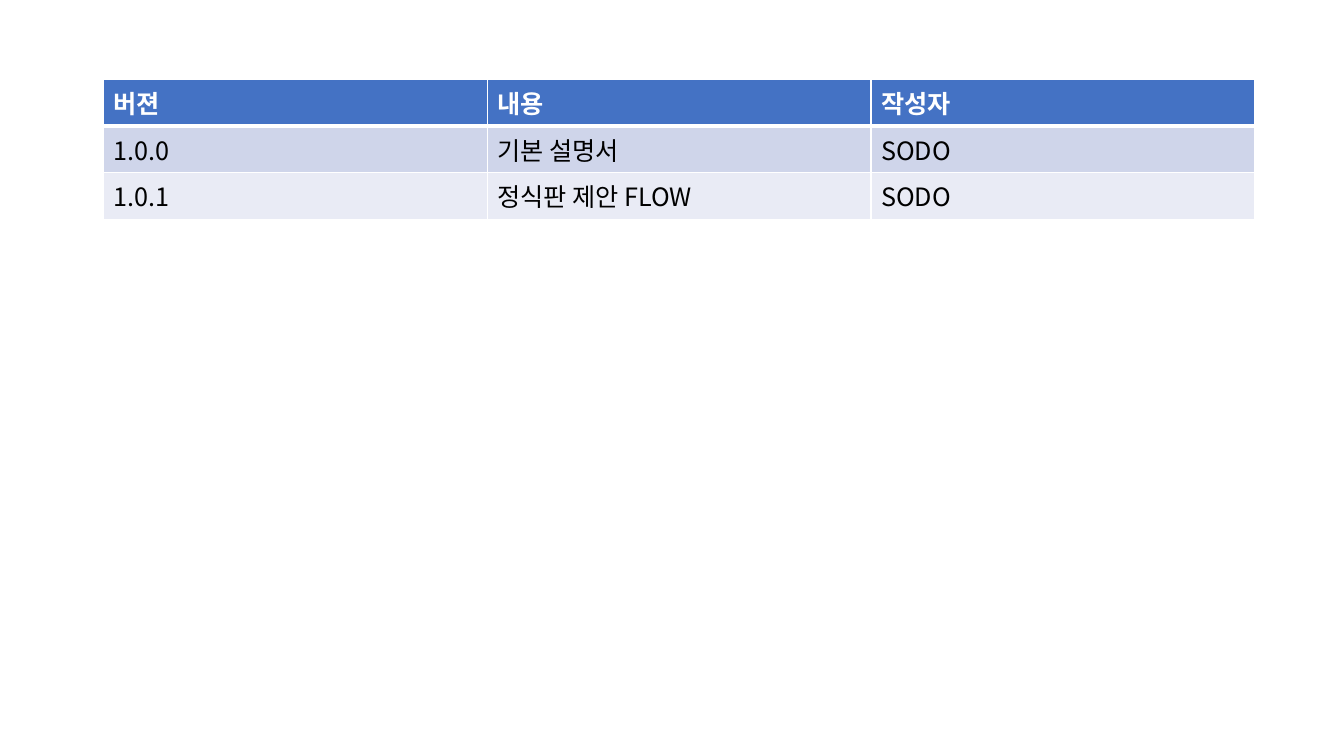
from dataclasses import dataclass

from lxml import etree
from pptx import Presentation
from pptx import util as u
from pptx.dml.color import RGBColor
from pptx.oxml import ns


@dataclass(frozen=True)
class Theme:
    """Colours, type and line widths of the slide."""
    font: str = "Noto Sans CJK KR"
    size: int = 18
    header: str = "4472C4"
    bands: tuple = ("CFD5EA", "E9EBF5")
    light: str = "FFFFFF"
    dark: str = "000000"
    rule: int = 1
    header_rule: int = 3


THEME = Theme()
HISTORY = [
    ("버젼", "내용", "작성자"),
    ("1.0.0", "기본 설명서", "SODO"),
    ("1.0.1", "정식판 제안 FLOW", "SODO"),
]


def write(frame, wording, *, color, bold=False, size=THEME.size):
    """Put one formatted run of text in a text frame."""
    run = frame.paragraphs[0].add_run()
    run.text = wording
    run.font.size = u.Pt(size)
    run.font.bold = bold
    run.font.name = THEME.font
    run.font.color.rgb = RGBColor.from_string(color)
    east_asian = etree.SubElement(run.font._element, ns.qn("a:ea"))
    east_asian.set("typeface", THEME.font)


def set_borders(cell, **widths):
    """Draw the cell's borders, given as L, R, T and B in points."""
    properties = cell._tc.get_or_add_tcPr()
    for position, side in enumerate("LRTB"):
        border = etree.Element(ns.qn(f"a:ln{side}"), w=str(u.Pt(widths[side])))
        fill = etree.SubElement(border, ns.qn("a:solidFill"))
        etree.SubElement(fill, ns.qn("a:srgbClr"), val=THEME.light)
        properties.insert(position, border)


def add_history(slide, entries, left, top, width, height):
    """Lay out the version history as a table with equal rows and columns."""
    history = slide.shapes.add_table(
        len(entries), len(entries[0]), left, top, width, height).table
    for row, entry in enumerate(entries):
        is_header = row == 0
        fill = THEME.header if is_header else THEME.bands[(row - 1) % 2]
        for column, wording in enumerate(entry):
            cell = history.cell(row, column)
            cell.fill.solid()
            cell.fill.fore_color.rgb = RGBColor.from_string(fill)
            set_borders(cell, L=THEME.rule, R=THEME.rule,
                        T=THEME.header_rule if row == 1 else THEME.rule,
                        B=THEME.header_rule if is_header else THEME.rule)
            write(cell.text_frame, wording, bold=is_header,
                  color=THEME.light if is_header else THEME.dark)


def main():
    """Build the version history slide and save it."""
    deck = Presentation()
    deck.slide_width, deck.slide_height = u.Cm(33.87), u.Cm(19.05)
    slide = deck.slides.add_slide(deck.slide_layouts[6])
    add_history(slide, HISTORY, u.Cm(2.6), u.Cm(2), u.Cm(29.03), u.Cm(3.1))
    deck.save("out.pptx")


main()
